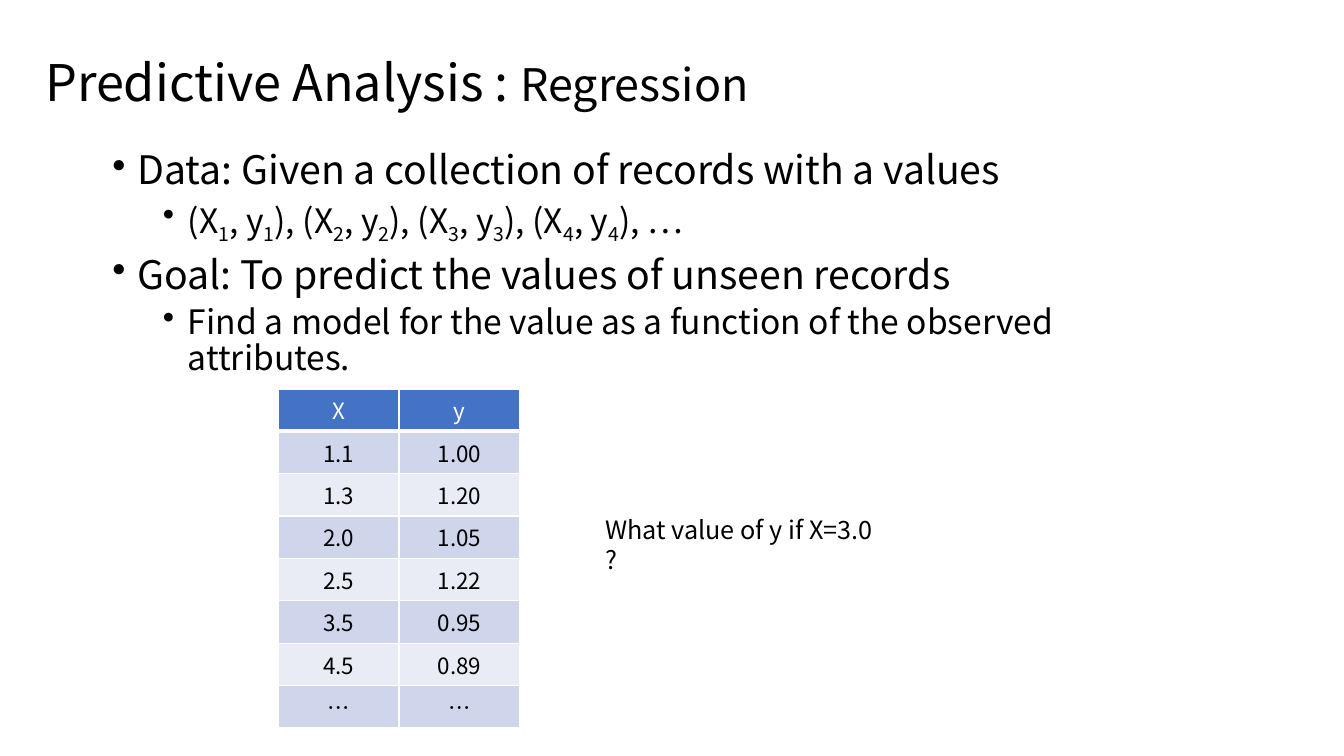
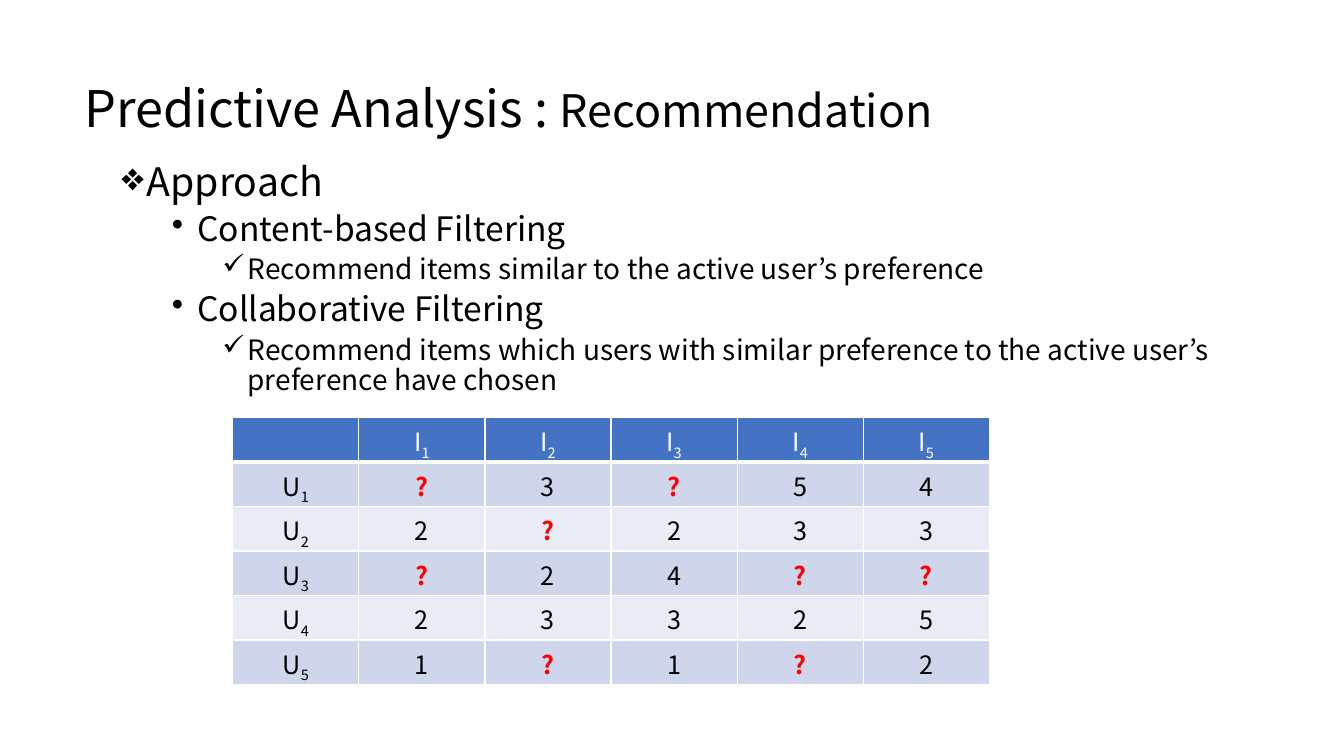
from dataclasses import dataclass

from lxml.etree import SubElement
from pptx import Presentation
from pptx.dml.color import RGBColor
from pptx.enum.text import MSO_AUTO_SIZE, PP_ALIGN
from pptx.oxml.ns import qn
from pptx.util import Inches, Pt


@dataclass(frozen=True)
class Theme:
    face: str = "Noto Sans CJK KR"
    ink: str = "000000"
    white: str = "FFFFFF"
    red: str = "FF0000"
    head: str = "4472C4"
    bands: tuple = ("E9EBF5", "CFD5EA")
    title: int = 36
    topic: int = 32
    note: int = 18
    levels: tuple = (28, 24, 20)


look = Theme()
deck = Presentation()
deck.slide_width, deck.slide_height = Inches(13.333), Inches(7.5)
col, row = deck.slide_width / 160, deck.slide_height / 90


def write(para, text, size, color=look.ink, bold=False):
    first, *rest = text.split("_")
    parts = [(first, 0)]
    for part in rest:
        parts += [(part[0], -25000), (part[1:], 0)]
    form = {"name": look.face, "size": Pt(size), "bold": bold}
    for words, base in parts:
        if not words:
            continue
        run = para.add_run()
        run.text = words
        for key, value in form.items():
            setattr(run.font, key, value)
        run.font.color.rgb = RGBColor.from_string(color)
        if base:
            run.font._element.set("baseline", str(base))


def frame(slide, place, fit):
    left, top, wide, high = place
    area = slide.shapes.add_textbox(
        int(left * col), int(top * row), int(wide * col), int(high * row))
    form = {"word_wrap": True, "auto_size": fit}
    for key, value in form.items():
        setattr(area.text_frame, key, value)
    return area.text_frame


pages = [
    {
        "topic": "Regression",
        "title": (4.2, 5.5, 113.6, 8.5),
        "body": (12.2, 17.4, 130, 64.8),
        "points": [
            (0, "•", "Data: Given a collection of records with a values"),
            (1, "•", "(X_1, y_1), (X_2, y_2), (X_3, y_3), (X_4, y_4), …"),
            (0, "•", "Goal: To predict the values of unseen records"),
            (1, "•", "Find a model for the value as a function of the observed attributes."),
        ],
        "grid": (33.1, 46.3, 28.8, 35.2),
        "size": 16,
        "cells": [
            ("X", "y"),
            ("1.1", "1.00"),
            ("1.3", "1.20"),
            ("2.0", "1.05"),
            ("2.5", "1.22"),
            ("3.5", "0.95"),
            ("4.5", "0.89"),
            ("…", "…"),
        ],
        "notes": [("What value of y if X=3.0 ?", (70.9, 60.6, 34.4, 4.8))],
    },
    {
        "topic": "Recommendation",
        "title": (8.9, 8.6, 113.6, 8.5),
        "body": (13.3, 18.8, 140.5, 64.8),
        "points": [
            (0, "❖", "Approach"),
            (1, "•", "Content-based Filtering"),
            (2, "✓", "Recommend items similar to the active user’s preference"),
            (1, "•", "Collaborative Filtering"),
            (2, "✓", "Recommend items which users with similar preference to the active "
                     "user’s preference have chosen"),
        ],
        "grid": (27.7, 49.7, 90.1, 29.2),
        "size": 18,
        "cells": [
            ("", "I_1", "I_2", "I_3", "I_4", "I_5"),
            ("U_1", "?", "3", "?", "5", "4"),
            ("U_2", "2", "?", "2", "3", "3"),
            ("U_3", "?", "2", "4", "?", "?"),
            ("U_4", "2", "3", "3", "2", "5"),
            ("U_5", "1", "?", "1", "?", "2"),
        ],
        "notes": [],
    },
]

for page in pages:
    slide = deck.slides.add_slide(deck.slide_layouts[6])

    body = frame(slide, page["body"], MSO_AUTO_SIZE.NONE)
    for spot, (level, mark, text) in enumerate(page["points"]):
        para = body.add_paragraph() if spot else body.paragraphs[0]
        form = {"level": level, "line_spacing": 0.9, "space_before": Pt(5 if level else 10)}
        for key, value in form.items():
            setattr(para, key, value)
        props = para._p.get_or_add_pPr()
        props.set("marL", str(Inches(0.25 + level / 2)))
        props.set("indent", str(Inches(-0.25)))
        SubElement(props, qn("a:buChar")).set("char", mark)
        write(para, text, look.levels[level])

    left, top, wide, high = page["grid"]
    cells = page["cells"]
    table = slide.shapes.add_table(
        len(cells), len(cells[0]),
        int(left * col), int(top * row), int(wide * col), int(high * row)).table
    for down, line in enumerate(cells):
        for over, text in enumerate(line):
            cell = table.cell(down, over)
            props = cell._tc.get_or_add_tcPr()
            for side in "LRTB":
                thick = (down, side) in ((0, "B"), (1, "T"))
                edge = SubElement(props, qn("a:ln" + side))
                edge.set("w", str(Pt(3 if thick else 1)))
                paint = SubElement(edge, qn("a:solidFill"))
                SubElement(paint, qn("a:srgbClr")).set("val", look.white)
            cell.fill.solid()
            shade = look.bands[down % 2] if down else look.head
            cell.fill.fore_color.rgb = RGBColor.from_string(shade)
            para = cell.text_frame.paragraphs[0]
            para.alignment = PP_ALIGN.CENTER
            gap = text == "?"
            color = look.red if gap else look.ink if down else look.white
            write(para, text, page["size"], color, gap)

    for text, place in page["notes"]:
        note = frame(slide, place, MSO_AUTO_SIZE.SHAPE_TO_FIT_TEXT)
        write(note.paragraphs[0], text, look.note)

    title = frame(slide, page["title"], MSO_AUTO_SIZE.SHAPE_TO_FIT_TEXT).paragraphs[0]
    write(title, "Predictive Analysis : ", look.title)
    write(title, page["topic"], look.topic)

deck.save("out.pptx")
